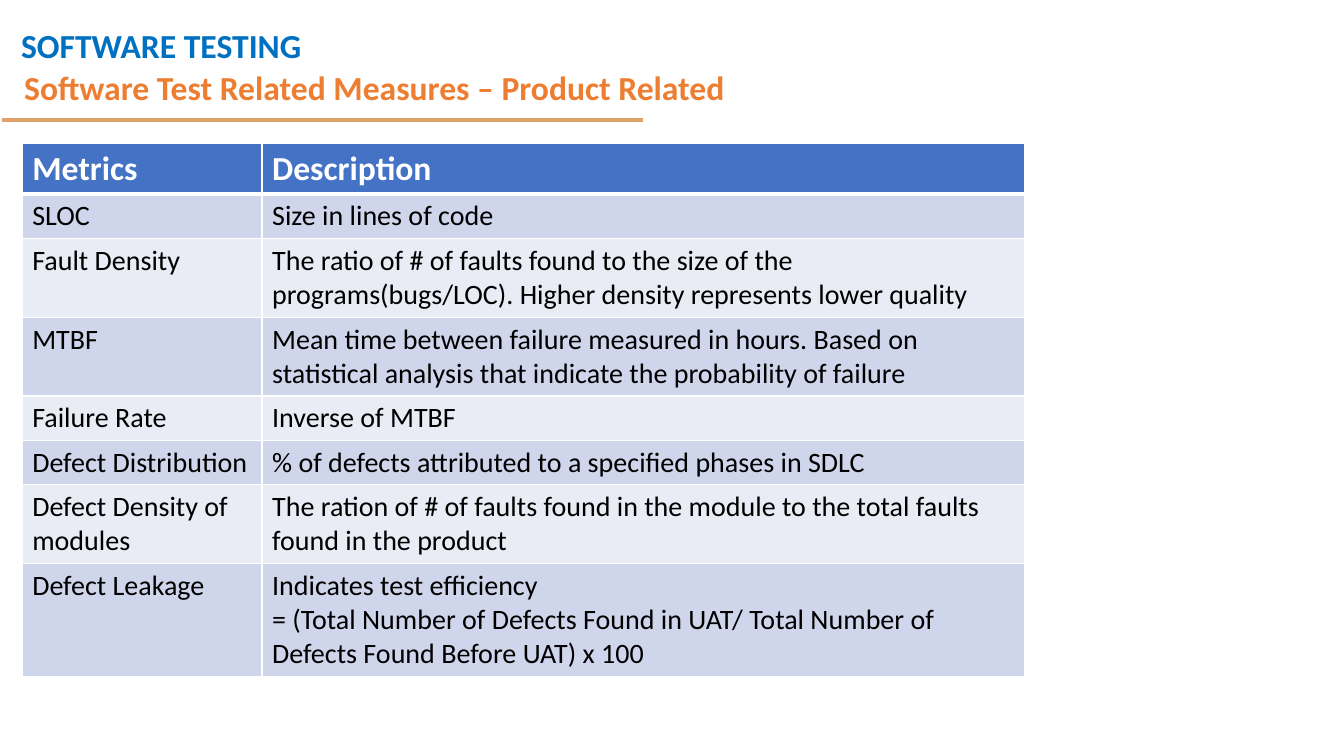
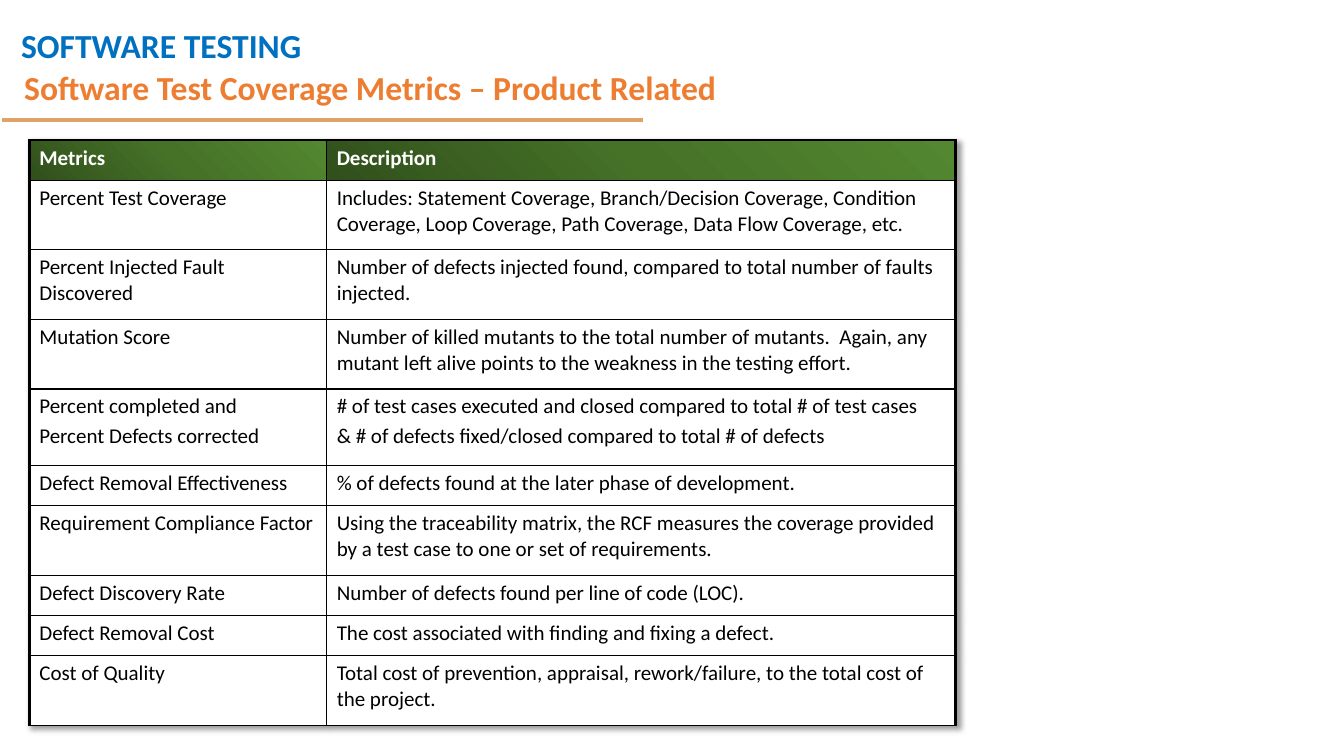
from lxml import etree
from pptx import Presentation
from pptx import util as u
from pptx.dml import color
from pptx.enum import shapes, text
from pptx.oxml import ns

FONT = "Calibri"
BLUE, ORANGE, RULE = "0070C0", "ED7D31", "DFA267"
WHITE, BLACK = "FFFFFF", "000000"
HEADER_BLUE, BANDS = "4472C4", ("CFD5EA", "E9EBF5")
GREENS = ((0, "31501C"), (50, "467228"), (100, "538730"))
WIDTH, HEIGHT = u.Inches(13.33), u.Inches(7.5)
ONE_LINE, TWO_LINES, TWO_PARAGRAPHS = 5.33, 9.2, 10.13

MEASURES = [
    ("Metrics", "Description"),
    ("SLOC", "Size in lines of code"),
    ("Fault Density", "The ratio of # of faults found to the size of the programs(bugs/LOC). "
     "Higher density represents lower quality"),
    ("MTBF", "Mean time between failure measured in hours. Based on statistical analysis "
     "that indicate the probability of failure"),
    ("Failure Rate", "Inverse of MTBF"),
    ("Defect Distribution", "% of defects attributed to a specified phases in SDLC"),
    ("Defect Density of modules", "The ration of # of faults found in the module to the "
     "total faults found in the product"),
    ("Defect Leakage", "Indicates test efficiency\n= (Total Number of Defects Found in UAT/ "
     "Total Number of Defects Found Before UAT) x 100"),
]

COVERAGE = [
    (ONE_LINE, "Metrics", "Description"),
    (TWO_LINES, "Percent Test Coverage", "Includes: Statement Coverage, Branch/Decision "
     "Coverage, Condition Coverage, Loop Coverage, Path Coverage, Data Flow Coverage, etc."),
    (TWO_LINES, "Percent Injected Fault Discovered", "Number of defects injected found, "
     "compared to total number of faults injected."),
    (TWO_LINES, "Mutation Score", "Number of killed mutants to the total number of mutants.  "
     "Again, any mutant left alive points to the weakness in the testing effort."),
    (TWO_PARAGRAPHS, "Percent completed and\nPercent Defects corrected",
     "# of test cases executed and closed compared to total # of test cases\n"
     "& # of defects fixed/closed compared to total # of defects"),
    (ONE_LINE, "Defect Removal Effectiveness",
     "% of defects found at the later phase of development."),
    (TWO_LINES, "Requirement Compliance Factor", "Using the traceability matrix, the RCF "
     "measures the coverage provided by a test case to one or set of requirements."),
    (ONE_LINE, "Defect Discovery Rate", "Number of defects found per line of code (LOC)."),
    (ONE_LINE, "Defect Removal Cost", "The cost associated with finding and fixing a defect."),
    (TWO_LINES, "Cost of Quality", "Total cost of prevention, appraisal, rework/failure, "
     "to the total cost of the project."),
]


def across(share):
    return int(WIDTH * share / 100)


def down(share):
    return int(HEIGHT * share / 100)


def rgb(value):
    return color.RGBColor.from_string(value)


def sub(parent, tag, **attrs):
    return etree.SubElement(parent, ns.qn(tag), {k: str(v) for k, v in attrs.items()})


def style(p, size, hue, bold):
    p.font.name, p.font.size, p.font.bold = FONT, u.Pt(size), bold
    p.font.color.rgb = rgb(hue)


def add_shared_heading(slide):
    box = slide.shapes.add_textbox(across(0.83), 0, across(41.86), down(8.53))
    box.text_frame.word_wrap = True
    p = box.text_frame.paragraphs[0]
    p.text, p.line_spacing = "SOFTWARE TESTING", 1.5
    style(p, 24, BLUE, True)

    rule = slide.shapes.add_connector(
        shapes.MSO_CONNECTOR.STRAIGHT, across(0.15), down(15.87), across(47.86), down(15.87))
    rule.line.color.rgb, rule.line.width = rgb(RULE), u.Pt(3)
    sub(rule.element.spPr, "a:effectLst")

    for shape in (box, rule):
        slide.slide_layout.shapes.element.append(shape.element)


def set_title(slide, caption):
    title = slide.shapes.title
    title.left, title.top = across(1.05), down(7.73)
    title.width, title.height = across(86.27), down(8.13)
    tf = title.text_frame
    tf.text = caption
    tf.auto_size = text.MSO_AUTO_SIZE.NONE
    tf.vertical_anchor = text.MSO_ANCHOR.MIDDLE
    p = tf.paragraphs[0]
    p.alignment, p.line_spacing = text.PP_ALIGN.LEFT, 0.9
    style(p, 24, ORANGE, True)


def add_grid(slide, left, top, columns, heights):
    frame = slide.shapes.add_table(len(heights), len(columns), across(left), down(top),
                                   across(sum(columns)), down(sum(heights)))
    table = frame.table
    table.horz_banding = False
    for column, share in zip(table.columns, columns):
        column.width = across(share)
    for row, share in zip(table.rows, heights):
        row.height = down(share)
    return table


def write_cell(cell, words, size, hue, bold, before=0):
    cell.text = words
    for p in cell.text_frame.paragraphs:
        p.space_before = u.Pt(before)
        style(p, size, hue, bold)


def set_borders(cell, hue, left=1, right=1, top=1, bottom=1):
    props = cell._tc.get_or_add_tcPr()
    for side, width in zip("LRTB", (left, right, top, bottom)):
        line = sub(props, f"a:ln{side}", w=u.Pt(width))
        sub(sub(line, "a:solidFill"), "a:srgbClr", val=hue)


def fill_solid(cell, hue):
    cell.fill.solid()
    cell.fill.fore_color.rgb = rgb(hue)


def fill_gradient(cell, stops, angle):
    grad = sub(cell._tc.get_or_add_tcPr(), "a:gradFill", rotWithShape=1)
    stop_list = sub(grad, "a:gsLst")
    for position, hue in stops:
        sub(sub(stop_list, "a:gs", pos=position * 1000), "a:srgbClr", val=hue)
    sub(grad, "a:lin", ang=angle * 60000, scaled=1)


def add_table_shadow(table):
    props = table._tbl.tblPr
    effects = sub(props, "a:effectLst")
    shadow = sub(effects, "a:outerShdw", blurRad=u.Pt(4), dist=u.Pt(3), dir=2700000,
                 algn="tl", rotWithShape=0)
    sub(sub(shadow, "a:srgbClr", val=BLACK), "a:alpha", val=40000)
    props.insert(0, effects)


def add_measures(slide):
    table = add_grid(slide, 1.65, 18.93, (17.85, 56.71), [5.47] * len(MEASURES))
    for i, row in enumerate(MEASURES):
        header = i == 0
        for j, words in enumerate(row):
            cell = table.cell(i, j)
            write_cell(cell, words, 24 if header else 20, WHITE if header else BLACK, header)
            set_borders(cell, WHITE, top=3 if i == 1 else 1, bottom=3 if header else 1)
            fill_solid(cell, HEADER_BLUE if header else BANDS[(i - 1) % 2])


def add_coverage(slide):
    heights = [row[0] for row in COVERAGE]
    table = add_grid(slide, 2.18, 18.53, (22.13, 46.81), heights)
    add_table_shadow(table)
    for i, (_, *row) in enumerate(COVERAGE):
        header = i == 0
        for j, words in enumerate(row):
            cell = table.cell(i, j)
            write_cell(cell, words, 15, WHITE if header else BLACK, header, before=3)
            set_borders(cell, BLACK, left=1 if j else 2.25, right=2.25 if j else 1,
                        top=2.25 if header else 1)
            if header:
                fill_gradient(cell, GREENS, 315)
            else:
                fill_solid(cell, WHITE)


def main():
    prs = Presentation()
    prs.slide_width, prs.slide_height = WIDTH, HEIGHT
    pages = [
        ("Software Test Related Measures – Product Related", add_measures),
        ("Software Test Coverage Metrics – Product Related", add_coverage),
    ]
    for number, (caption, add_content) in enumerate(pages):
        slide = prs.slides.add_slide(prs.slide_layouts[5])
        if number == 0:
            add_shared_heading(slide)
        set_title(slide, caption)
        add_content(slide)
    prs.save("out.pptx")


if __name__ == "__main__":
    main()
